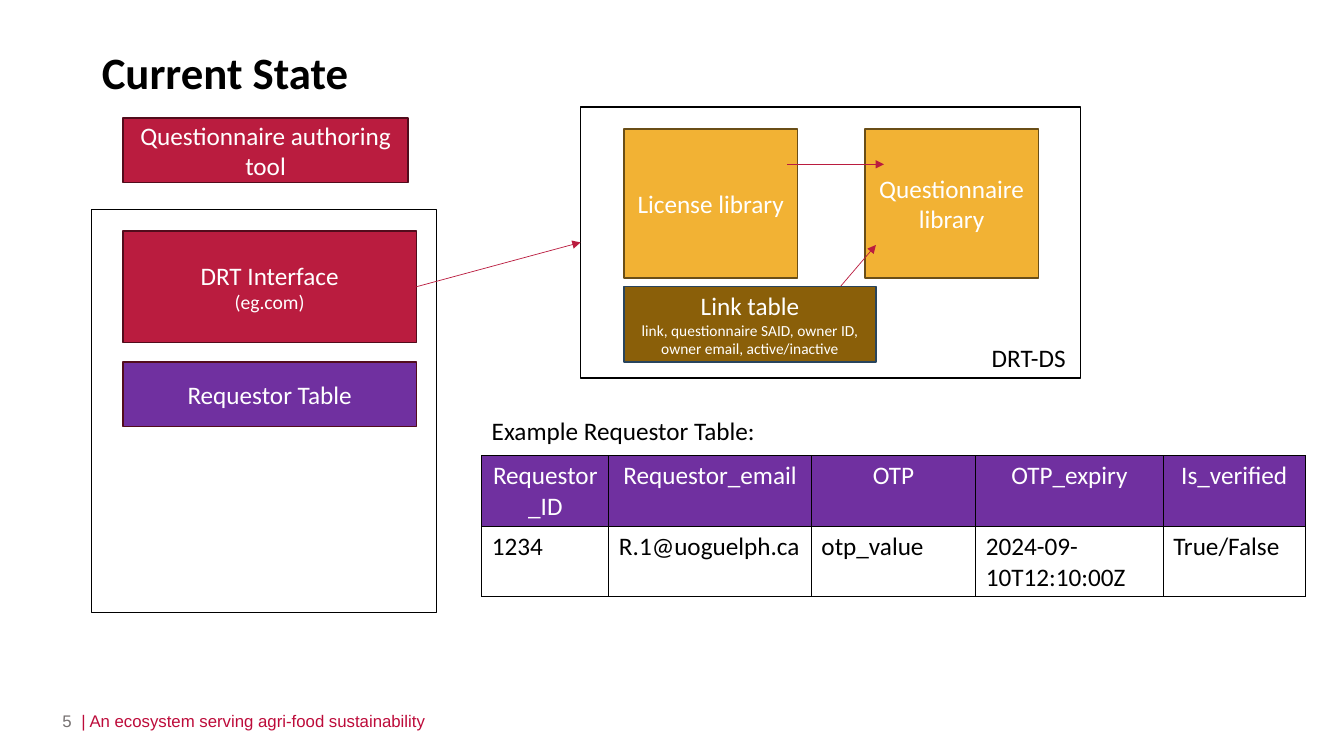
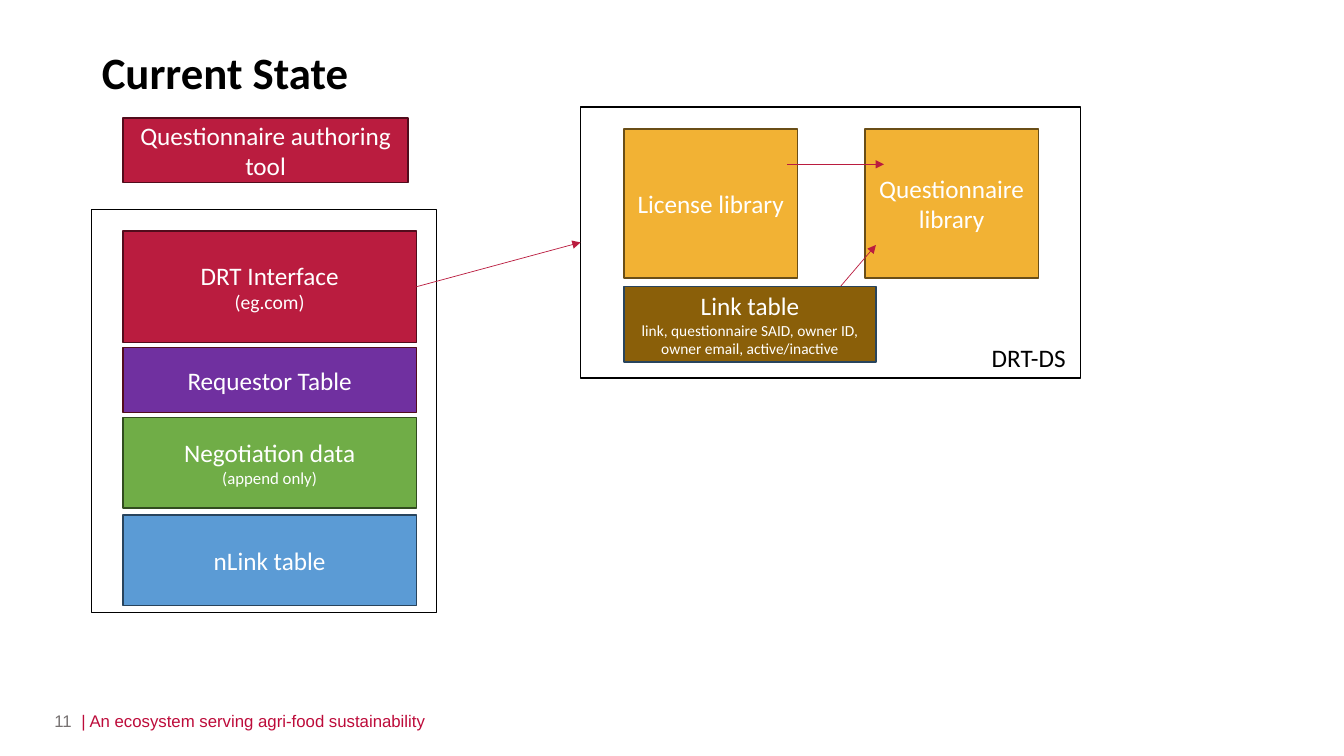
from itertools import product
from lxml.etree import SubElement
from pptx import Presentation
from pptx.dml.color import RGBColor
from pptx.enum.shapes import MSO_CONNECTOR, MSO_SHAPE
from pptx.enum.text import MSO_ANCHOR, MSO_AUTO_SIZE, PP_ALIGN
from pptx.oxml.ns import qn
from pptx.util import Inches, Pt

COLS, ROWS = 133.33, 75
INK = {
    "black": "000000", "white": "FFFFFF", "grey": "767171",
    "brand": "BD0B3A", "red": "BA1C3F", "wine": "520C1C",
    "gold": "F2B234", "bronze": "6A4E17", "brown": "8A5F09",
    "navy": "28445D", "purple": "7030A0", "green": "70AD47",
    "moss": "314C1F", "blue": "5B9BD5",
}
LEFT, WIDE = 12.2, 29.1


def grid(*cells):
    return [Inches(cell / 10) for cell in cells]


def tint(name):
    return RGBColor.from_string(INK[name])


class Deck:
    font = "Calibri"
    size = 18

    def __init__(self):
        self.show = Presentation()
        self.show.slide_width, self.show.slide_height = grid(COLS, ROWS)

    def start(self, title, number):
        self.slide = self.show.slides.add_slide(self.show.slide_layouts[5])
        self.shapes = self.slide.shapes
        head = self.shapes.title
        head.left, head.top, head.width, head.height = grid(9.1, 3.9, 26.7, 6.4)
        frame = head.text_frame
        frame.word_wrap = False
        frame.auto_size = MSO_AUTO_SIZE.NONE
        frame.vertical_anchor = MSO_ANCHOR.TOP
        self.style(frame, title, "black", sizes=(32,), bold=True)
        for text, left, wide, color, align in (
            ("| An ecosystem serving agri-food sustainability", 7.1, 45, "brand", PP_ALIGN.LEFT),
            (str(number), 3.6, 4.5, "grey", PP_ALIGN.RIGHT),
        ):
            foot = self.shapes.add_textbox(*grid(left, 69.5, wide, 4)).text_frame
            foot.word_wrap = True
            foot.vertical_anchor = MSO_ANCHOR.MIDDLE
            self.style(foot, text, color, (12,), align, font="Arial")

    def style(self, frame, text, color, sizes=(size,), align=PP_ALIGN.LEFT, bold=False, font=font):
        frame.text = text
        for line, size in zip(frame.paragraphs, sizes):
            line.alignment = align
            for run in line.runs:
                run.font.name, run.font.size, run.font.bold = font, Pt(size), bold
                run.font.color.rgb = tint(color)

    def label(self, text, left, top, wide):
        frame = self.shapes.add_textbox(*grid(left, top, wide, 4)).text_frame
        frame.word_wrap = False
        self.style(frame, text, "black")

    def rect(self, area, edge, fill=None):
        shape = self.shapes.add_shape(MSO_SHAPE.RECTANGLE, *grid(*area))
        shape.shadow.inherit = False
        shape.line.color.rgb = tint(edge)
        shape.line.width = Pt(1)
        if fill:
            shape.fill.solid()
            shape.fill.fore_color.rgb = tint(fill)
        else:
            shape.fill.background()
        return shape

    def box(self, text, area, fill, edge, small=size):
        shape = self.rect(area, edge, fill)
        frame = shape.text_frame
        frame.word_wrap = True
        frame.vertical_anchor = MSO_ANCHOR.MIDDLE
        self.style(frame, text, "white", (self.size, small), PP_ALIGN.CENTER)
        return shape

    def arrow(self, *ends):
        line = self.shapes.add_connector(MSO_CONNECTOR.STRAIGHT, *grid(*ends))
        line.line.color.rgb = tint("red")
        line.line.width = Pt(0.5)
        props = line._element.spPr
        SubElement(props.find(qn("a:ln")), qn("a:tailEnd"), type="triangle")
        SubElement(props, qn("a:effectLst"))
        return line

    def link(self, start, end):
        line = self.arrow(0, 0, 1, 1)
        line.begin_connect(start, 3)
        line.end_connect(end, 1)

    def border(self, cell):
        props = cell._tc.get_or_add_tcPr()
        for side in ("lnL", "lnR", "lnT", "lnB"):
            edge = SubElement(props, qn("a:" + side), w=str(Pt(1)))
            paint = SubElement(edge, qn("a:solidFill"))
            SubElement(paint, qn("a:srgbClr"), val=INK["black"])

    def table(self, left, top, wides, tall, rows):
        area = grid(left, top, sum(wides), tall * len(rows))
        table = self.shapes.add_table(len(rows), len(wides), *area).table
        table.first_row = table.horz_banding = False
        for column, wide in zip(table.columns, grid(*wides)):
            column.width = wide
        for row, col in product(range(len(rows)), range(len(wides))):
            cell = table.cell(row, col)
            self.border(cell)
            if row:
                cell.fill.background()
                color, align = "black", PP_ALIGN.LEFT
            else:
                cell.fill.solid()
                cell.fill.fore_color.rgb = tint("purple")
                color, align = "white", PP_ALIGN.CENTER
            self.style(cell.text_frame, rows[row][col], color, align=align)


def state(deck, number, top):
    deck.start("Current State", number)
    store = deck.rect((57.6, 10.6, 49.6, 26.9), "black")
    deck.rect((9.1, 20.8, 34.2, 40), "black")
    deck.label("DRT-DS", 97.4, 33.5, 9.6)
    for text, left in (("License library", 61.9), ("Questionnaire library", 85.8)):
        deck.box(text, (left, 12.8, 17.2, 14.8), "gold", "bronze")
    deck.box("Questionnaire authoring tool", (LEFT, 11.7, 28.3, 6.4), "red", "wine")
    deck.arrow(78.1, 16.3, 87.7, 16.3)
    deck.arrow(83.4, 28.4, 86.9, 24.3)
    deck.box("Link table\nlink, questionnaire SAID, owner ID, owner email, active/inactive",
             (61.9, 28.4, 25, 7.5), "brown", "navy", 11)
    face = deck.box("DRT Interface\n(eg.com)", (LEFT, 22.9, WIDE, 11.1), "red", "wine", 14)
    deck.link(face, store)
    deck.box("Requestor Table", (LEFT, top, WIDE, 6.4), "purple", "wine")


def main():
    deck = Deck()
    state(deck, 5, 35.9)
    deck.label("Example Requestor Table:", 47.8, 40.7, 28.4)
    deck.table(47.8, 45.2, (12.6, 20.1, 16.3, 18.6, 14.1), 7, (
        ("Requestor_ID", "Requestor_email", "OTP", "OTP_expiry", "Is_verified"),
        ("1234", "R.1@uoguelph.ca", "otp_value", "2024-09-10T12:10:00Z", "True/False"),
    ))
    state(deck, 11, 34.5)
    deck.box("Negotiation data\n(append only)", (LEFT, 41.4, WIDE, 9), "green", "moss", 12)
    deck.box("nLink table", (LEFT, 51.1, WIDE, 9), "blue", "navy")
    deck.show.save("out.pptx")


if __name__ == "__main__":
    main()
